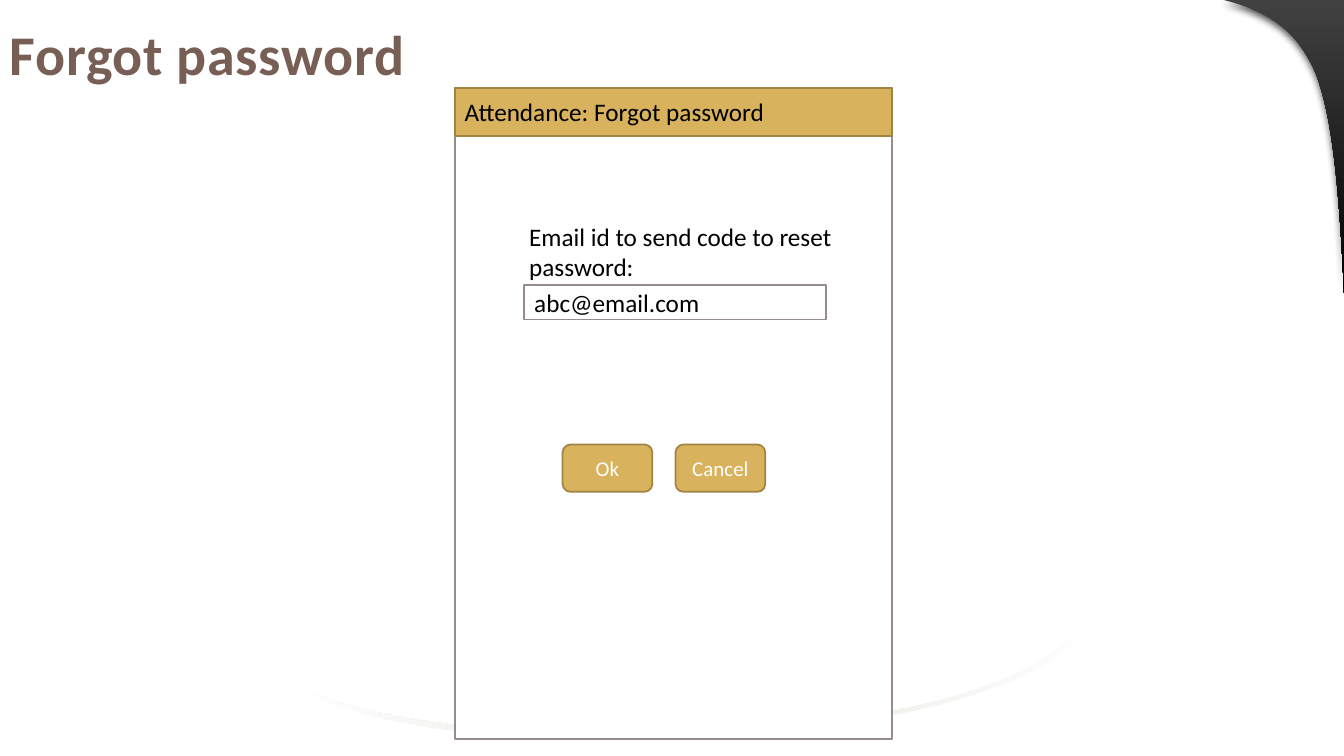
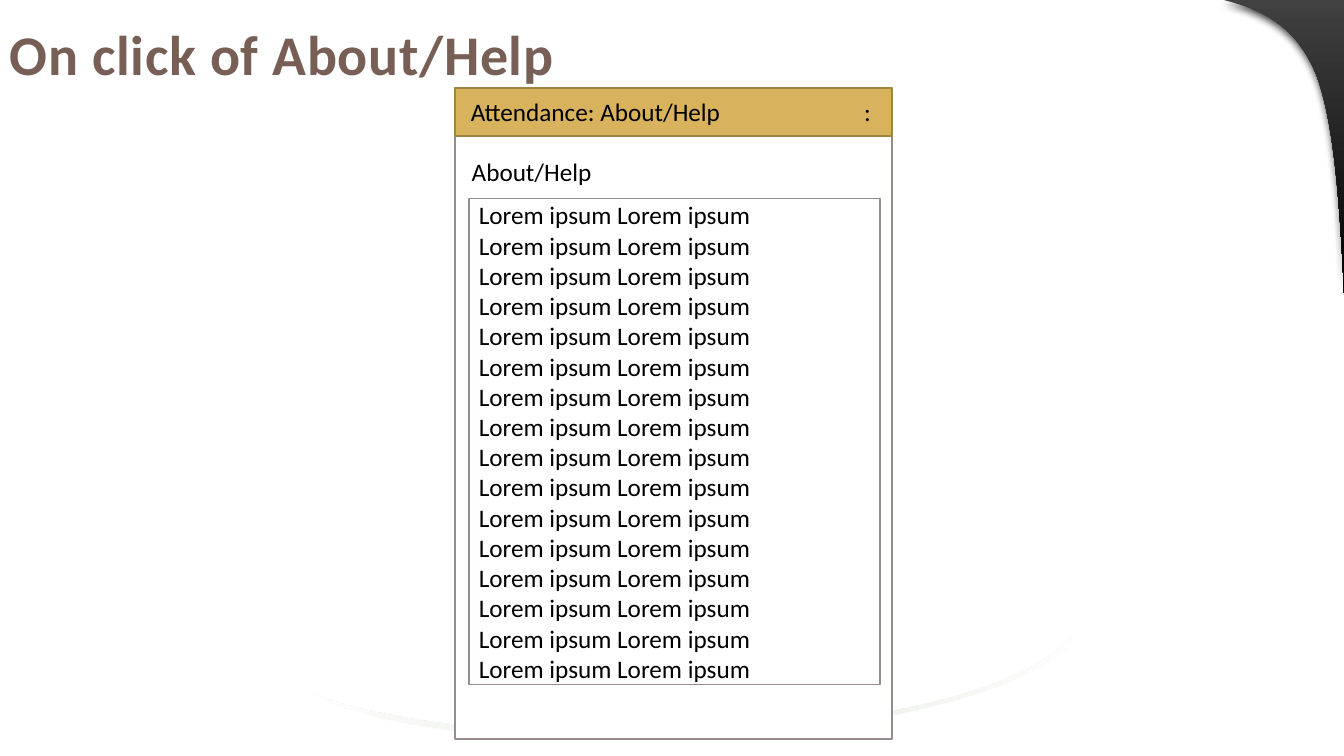
from collections import namedtuple
from dataclasses import dataclass

from lxml.etree import SubElement
from pptx import Presentation
from pptx.dml.color import RGBColor
from pptx.enum.shapes import MSO_SHAPE
from pptx.enum.text import MSO_ANCHOR, PP_ALIGN
from pptx.oxml.ns import qn
from pptx.util import Inches, Pt

Box = namedtuple("Box", "left top width height")


@dataclass(frozen=True)
class Theme:
    font: str = "Calibri"
    title: str = "775F55"
    ink: str = "000000"
    paper: str = "FFFFFF"
    frame: str = "968C8C"
    gold: str = "D8B25C"
    gold_edge: str = "A08444"
    sage: str = "9CB084"
    corner_top: str = "414141"
    title_size: float = 40
    body_size: float = 18
    button_size: float = 15
    line_width: float = 1.25


THEME = Theme()
TITLE = Box(0, 0, 11.32, 1.06)
PANEL = Box(4.51, 0.87, 4.34, 6.46)
SWOOSH = Box(3.12, 6.33, 7.5, 1)
CORNER = Box(12.14, 0, 1.19, 2.91)
HEADER_HEIGHT = 0.48


def within(box, left, top, width, height):
    """Box placed relative to the corner of another box."""
    return Box(box.left + left, box.top + top, width, height)


# Text and shapes
def write(shape, text, size=THEME.body_size, color=THEME.ink, bold=False,
          align=PP_ALIGN.LEFT, inset=0.1, tab=None, spacing=None, shadow=False):
    frame = shape.text_frame
    frame.word_wrap = True
    frame.vertical_anchor = MSO_ANCHOR.MIDDLE
    frame.margin_left = Inches(inset)
    for index, line in enumerate(text.split("\n")):
        para = frame.add_paragraph() if index else frame.paragraphs[0]
        para.alignment = align
        if tab:
            tabs = SubElement(para._p.get_or_add_pPr(), qn("a:tabLst"))
            SubElement(tabs, qn("a:tab"), pos=str(Inches(tab)), algn="l")
        span = para.add_run()
        span.text = line
        font = span.font
        font.size, font.bold = Pt(size), bold
        font.color.rgb = RGBColor.from_string(color)
        if spacing:
            font._element.set("spc", str(int(spacing * 100)))
        if shadow:
            effects = SubElement(font._element, qn("a:effectLst"))
            add_shadow(effects, blur=3, distance=3, angle=45, alpha=50)
        font.name = THEME.font


def add_shadow(effects, blur, distance, angle, alpha):
    shade = SubElement(effects, qn("a:outerShdw"), blurRad=str(Pt(blur)),
                       dist=str(Pt(distance)), dir=str(angle * 60000),
                       algn="tl", rotWithShape="0")
    color = SubElement(shade, qn("a:srgbClr"), val=THEME.ink)
    SubElement(color, qn("a:alpha"), val=str(alpha * 1000))


def add_label(page, box, text, **style):
    label = page.shapes.add_textbox(*map(Inches, box))
    write(label, text, **style)


def add_box(page, box, text="", kind=MSO_SHAPE.RECTANGLE, fill=THEME.paper,
            edge=THEME.frame, **style):
    shape = page.shapes.add_shape(kind, *map(Inches, box))
    shape.shadow.inherit = False
    shape.fill.solid()
    shape.fill.fore_color.rgb = RGBColor.from_string(fill)
    shape.line.color.rgb = RGBColor.from_string(edge)
    shape.line.width = Pt(THEME.line_width)
    if text:
        write(shape, text, **style)


# Curved decoration
def curve(start, pull_start, pull_end, end, steps=16):
    """Points along a cubic curve."""
    def point(t):
        weights = ((1 - t) ** 3, 3 * t * (1 - t) ** 2, 3 * t * t * (1 - t), t ** 3)
        knots = (start, pull_start, pull_end, end)
        return tuple(sum(w * knot[axis] for w, knot in zip(weights, knots))
                     for axis in (0, 1))
    return [point(step / steps) for step in range(steps + 1)]


def add_outline(page, box, points, stops, angle):
    placed = [(Inches(box.left + x), Inches(box.top + y)) for x, y in points]
    builder = page.shapes.build_freeform(*placed[0])
    builder.add_line_segments(placed[1:], close=True)
    shape = builder.convert_to_shape()
    shape.shadow.inherit = False
    shape.line.fill.background()
    shape.fill.gradient()
    shape.fill.gradient_angle = -angle % 360
    stop_list = shape._element.spPr.find(".//" + qn("a:gsLst"))
    for old_stop in list(stop_list):
        stop_list.remove(old_stop)
    for position, value, alpha in stops:
        stop = SubElement(stop_list, qn("a:gs"), pos=str(position * 1000))
        color = SubElement(stop, qn("a:srgbClr"), val=value)
        if alpha < 100:
            SubElement(color, qn("a:alpha"), val=str(alpha * 1000))
    return shape


def add_swoosh(page, box):
    lower = curve((7.5, 0.07), (6.43, 1.11), (1.44, 1.29), (0, 0.57), 32)
    upper = curve((0, 0.55), (1.5, 1.17), (6.48, 1.1), (7.5, 0), 32)
    stops = [(0, THEME.paper, 30), (50, THEME.sage, 30), (100, THEME.paper, 30)]
    add_outline(page, box, lower + upper, stops, 0)


def add_corner(page, box):
    bend = (0.91, 0.73)
    side = curve((box.width, box.height), (1.14, 1.82), (1.07, 1.15), bend)
    crest = curve(bend, (0.73, 0.31), (0.46, 0.12), (0, 0))
    stops = [(0, THEME.corner_top, 100), (100, THEME.ink, 100)]
    shape = add_outline(page, box, [(0, 0), (box.width, 0)] + side + crest[1:],
                        stops, 90)
    effects = shape._element.spPr.find(qn("a:effectLst"))
    add_shadow(effects, blur=6, distance=3, angle=90, alpha=75)


# Shared page and app screen
def add_page(deck, title):
    page = deck.slides.add_slide(deck.slide_layouts[6])
    add_swoosh(page, SWOOSH)
    add_corner(page, CORNER)
    add_label(page, TITLE, title, size=THEME.title_size, color=THEME.title,
              bold=True, spacing=0.5, shadow=True)
    add_box(page, PANEL)
    return page


def add_header(page, panel, text, **style):
    add_box(page, within(panel, 0, 0, panel.width, HEADER_HEIGHT), text,
            fill=THEME.gold, edge=THEME.gold_edge, **style)


def add_buttons(page, box, names, pitch=1.12):
    for index, name in enumerate(names):
        add_box(page, within(box, index * pitch, 0, 0.89, box.height), name,
                kind=MSO_SHAPE.ROUNDED_RECTANGLE, fill=THEME.gold,
                edge=THEME.gold_edge, size=THEME.button_size,
                color=THEME.paper, align=PP_ALIGN.CENTER)


def add_password_screen(page, panel):
    add_header(page, panel, "Attendance: Forgot password")
    add_box(page, within(panel, 0.69, 1.96, 2.99, 0.34), "abc@email.com")
    add_label(page, within(panel, 0.64, 1.35, 3.44, 0.55),
              "Email id to send code to reset password:")
    add_buttons(page, within(panel, 1.07, 3.54, 2.01, 0.47), ["Ok", "Cancel"])


def add_help_screen(page, panel):
    add_header(page, panel, "Attendance: About/Help\t:", inset=0.16, tab=3.9)
    add_label(page, within(panel, 0.07, 0.66, 2.15, 0.34), "About/Help")
    add_box(page, within(panel, 0.14, 1.1, 4.08, 4.82),
            "\n".join(["Lorem ipsum Lorem ipsum"] * 16))


def main():
    deck = Presentation()
    deck.slide_width, deck.slide_height = Inches(13.33), Inches(7.5)
    add_password_screen(add_page(deck, "Forgot password"), PANEL)
    add_help_screen(add_page(deck, "On click of About/Help"), PANEL)
    deck.save("out.pptx")


if __name__ == "__main__":
    main()
